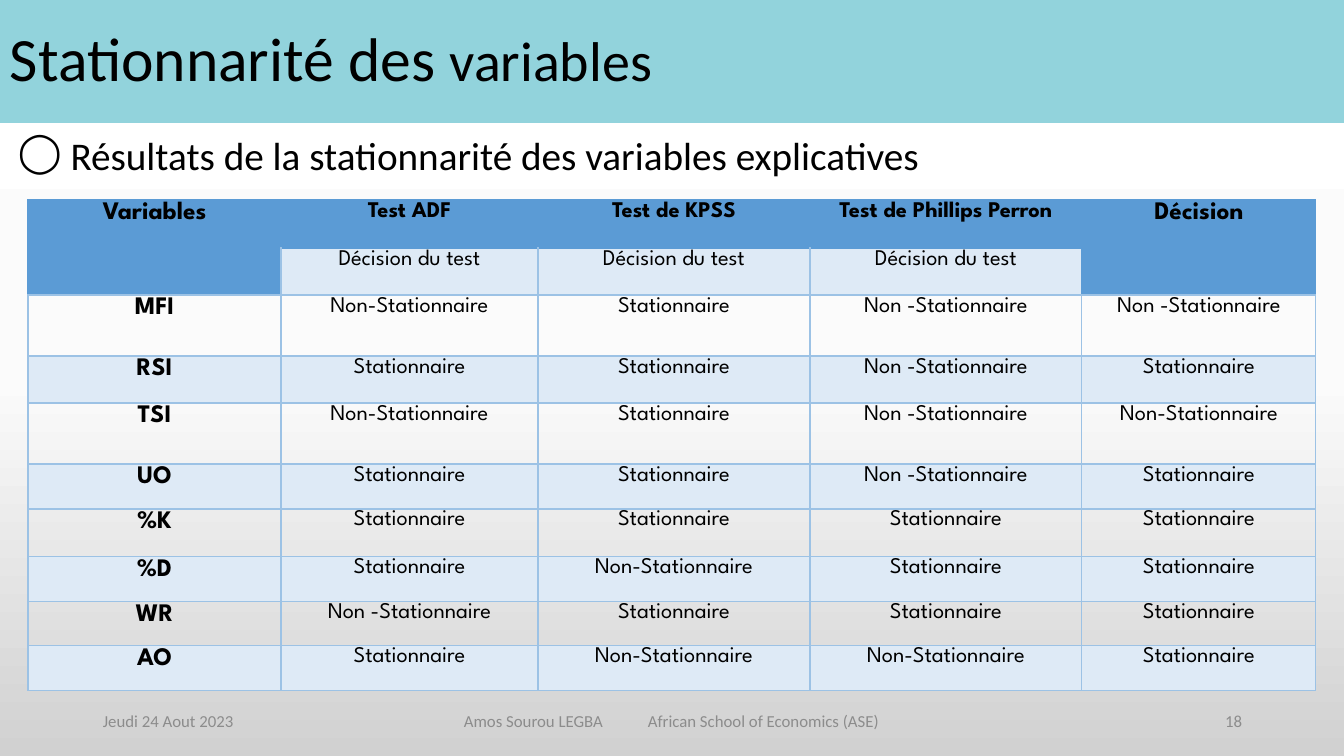
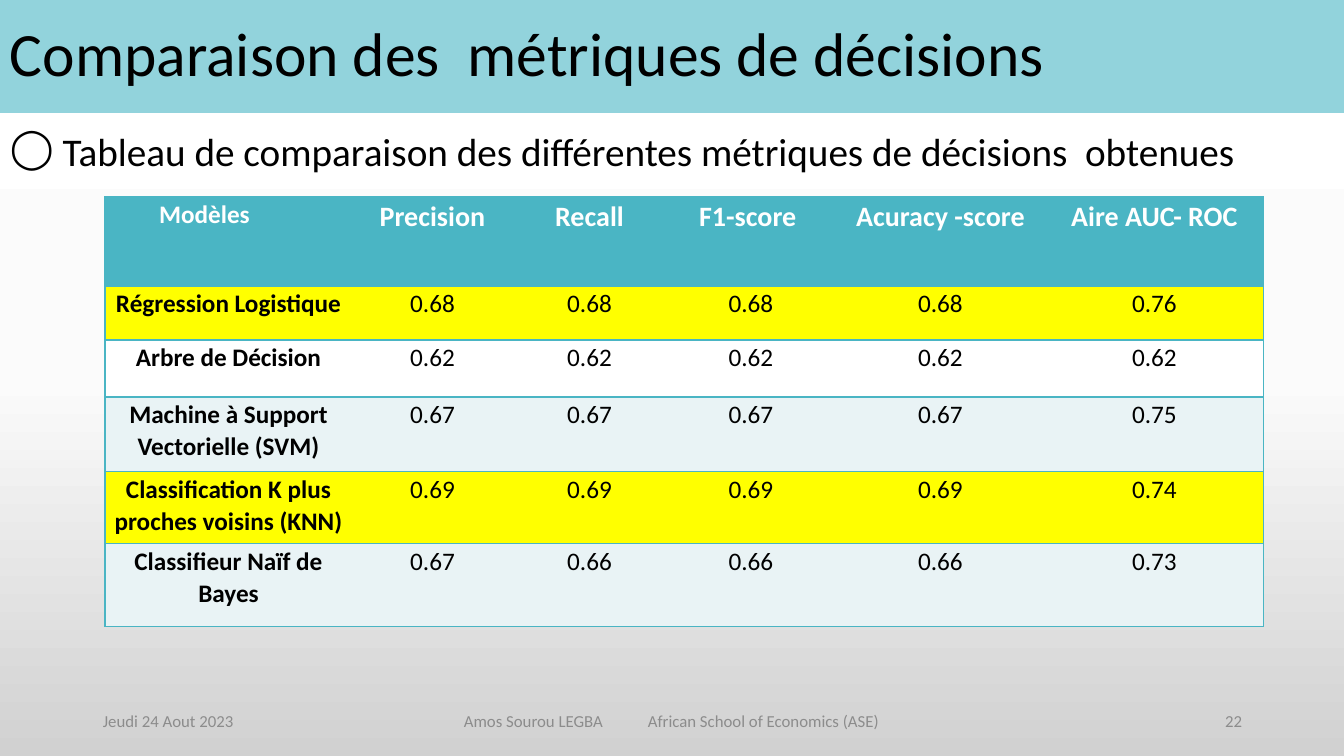
from copy import deepcopy

from lxml.etree import SubElement
from pptx import Presentation
from pptx.dml.color import RGBColor
from pptx.enum.shapes import MSO_SHAPE as Shape
from pptx.enum.text import MSO_ANCHOR as Anchor, PP_ALIGN as Align
from pptx.oxml.ns import qn
from pptx.util import Pt

PX = 914400 / 100.8  # EMU in one px
WIDTH, HEIGHT = 1344, 756
BLANK_LAYOUT = 6
PLAIN_TABLE = "{2D5ABB26-0587-4C30-8999-92F81FD0307C}"


class Theme:
    body_font, table_font = "Calibri", "League Spartan"
    black, white, grey = "000000", "FFFFFF", "8C8C8C"
    band = "92D3DC"
    backdrop = [(0, "FFFFFF"), (0.5, "FBFBFB"), (1, "D1D1D1")]
    blue, blue_line, blue_pale = "5B9BD5", "9CC2E5", "DEEAF6"
    teal, teal_pale, yellow = "4AB5C4", "E9F3F5", "FFFF00"
    title, title_small, body, footer = 44, 40, 28, 12
    head, label, cell = 20, 18, 16


# Content
DATE = "Jeudi 24 Aout 2023"
CREDIT = "Amos Sourou LEGBA\tAfrican School of Economics (ASE)"
YES, NO, NO_SPACED = "Stationnaire", "Non-Stationnaire", "Non -Stationnaire"

STATIONARITY = dict(
    number=18,
    title=[("Stationnarité des ", Theme.title), ("variables", Theme.title_small)],
    band_height=123,
    point=" Résultats de la stationnarité des variables explicatives",
    point_box=(8, 132, 1307, 608),
    table_at=(28, 200),
    columns=[253, 257, 272, 272, 234],
    rows=[48, 47, 61, 47, 61, 45, 48, 45, 44, 45],
)
TESTS = ["Variables", "Test ADF", "Test de KPSS", "Test de Phillips Perron", "Décision"]
TEST_RESULT = "Décision du test"
INDICATORS = [
    ("MFI", NO, YES, NO_SPACED, NO_SPACED),
    ("RSI", YES, YES, NO_SPACED, YES),
    ("TSI", NO, YES, NO_SPACED, NO),
    ("UO", YES, YES, NO_SPACED, YES),
    ("%K", YES, YES, YES, YES),
    ("%D", YES, NO, YES, YES),
    ("WR", NO_SPACED, YES, YES, YES),
    ("AO", YES, NO, NO, YES),
]

METRICS = dict(
    number=22,
    title=[("Comparaison des  métriques de décisions", Theme.title)],
    band_height=113,
    point=" Tableau de comparaison des différentes métriques de décisions  obtenues",
    point_box=(0, 128, 1344, 573),
    table_at=(105, 197),
    columns=[247, 161, 153, 170, 209, 219],
    rows=[89, 54, 57, 75, 72, 83],
)
SCORES = ["Modèles", "Precision", "Recall", "F1-score ", "Acuracy -score", "Aire AUC- ROC"]
MODELS = [
    ("Régression Logistique", "0.68", "0.68", "0.68", "0.68", "0.76"),
    ("Arbre de Décision", "0.62", "0.62", "0.62", "0.62", "0.62"),
    ("Machine à Support Vectorielle (SVM)", "0.67", "0.67", "0.67", "0.67", "0.75"),
    ("Classification K plus proches voisins (KNN)", "0.69", "0.69", "0.69", "0.69", "0.74"),
    ("Classifieur Naïf de Bayes", "0.67", "0.66", "0.66", "0.66", "0.73"),
]
MODEL_FILLS = [Theme.yellow, Theme.white, Theme.teal_pale, Theme.yellow, Theme.teal_pale]


# Helpers
def px(*lengths):
    return [round(length * PX) for length in lengths]


def apply(target, **values):
    for name, value in values.items():
        setattr(target, name, value)


def paint(fill, color):
    if color:
        fill.solid()
        fill.fore_color.rgb = RGBColor.from_string(color)
    else:
        fill.background()


def write(para, text, size, color=Theme.black, font=Theme.body_font, bold=False):
    span = para.add_run()
    span.text = text
    apply(span.font, size=Pt(size), name=font, bold=bold)
    span.font.color.rgb = RGBColor.from_string(color)


def add_text_box(page, area, anchor):
    box = page.shapes.add_textbox(*px(*area))
    apply(box.text_frame, word_wrap=True, vertical_anchor=anchor)
    return box.text_frame


# Shared slide parts
def set_backdrop(deck):
    master = deck.slide_master
    fill = master.background.fill
    fill.gradient()
    fill.gradient_angle = 270
    stops = master.element.find(".//" + qn("a:gsLst"))
    stops.append(deepcopy(stops[0]))
    for stop, (position, color) in zip(fill.gradient_stops, Theme.backdrop):
        stop.position = position
        stop.color.rgb = RGBColor.from_string(color)


def add_title(page, parts, height):
    band = page.shapes.add_shape(Shape.RECTANGLE, *px(0, 0, WIDTH, height))
    band.shadow.inherit = False
    paint(band.fill, Theme.band)
    band.line.fill.background()
    band.text_frame.vertical_anchor = Anchor.MIDDLE
    para = band.text_frame.paragraphs[0]
    apply(para, alignment=Align.LEFT, line_spacing=0.9)
    for text, size in parts:
        write(para, text, size)


def add_point(page, text, area):
    para = add_text_box(page, area, Anchor.TOP).paragraphs[0]
    apply(para, line_spacing=0.9, space_before=Pt(10))
    write(para, text, Theme.body)
    props = para._p.get_or_add_pPr()
    indent = px(25)[0]
    props.set("marL", str(indent))
    props.set("indent", str(-indent))
    SubElement(props, qn("a:buChar"), char="◯")


def add_footer(page, number):
    top, height = 701, 40
    parts = [
        (DATE, 93, 302, Align.LEFT),
        (CREDIT, 454, 446, Align.LEFT),
        (str(number), 950, 302, Align.RIGHT),
    ]
    for text, left, width, alignment in parts:
        frame = add_text_box(page, (left, top, width, height), Anchor.MIDDLE)
        para = frame.paragraphs[0]
        para.alignment = alignment
        write(para, text, Theme.footer, Theme.grey)
        if "\t" in text:
            tabs = SubElement(para._p.get_or_add_pPr(), qn("a:tabLst"))
            SubElement(tabs, qn("a:tab"), pos=str(px(184)[0]), algn="l")


def add_page(deck, content):
    page = deck.slides.add_slide(deck.slide_layouts[BLANK_LAYOUT])
    add_title(page, content["title"], content["band_height"])
    add_point(page, content["point"], content["point_box"])
    add_footer(page, content["number"])
    columns, rows = content["columns"], content["rows"]
    frame = page.shapes.add_table(
        len(rows), len(columns), *px(*content["table_at"], sum(columns), sum(rows)))
    table = frame.table
    apply(table, first_row=False, horz_banding=False)
    table._tbl.tblPr.find(qn("a:tableStyleId")).text = PLAIN_TABLE
    for column, width in zip(table.columns, px(*columns)):
        column.width = width
    for row, height in zip(table.rows, px(*rows)):
        row.height = height
    return table


# Table cells
def fill_cell(cell, text, fill, edges, **text_style):
    side = px(7)[0]
    apply(cell, margin_left=side, margin_right=side, margin_top=0, margin_bottom=0)
    props = cell._tc.get_or_add_tcPr()
    for edge in "LRTB":
        if edge in edges:
            line = SubElement(props, qn("a:ln" + edge), w=str(Pt(1)))
            solid = SubElement(line, qn("a:solidFill"))
            SubElement(solid, qn("a:srgbClr"), val=edges[edge])
    paint(cell.fill, fill)
    para = cell.text_frame.paragraphs[0]
    apply(para, alignment=Align.CENTER, line_spacing=1.07)
    if text:
        write(para, text, **text_style)


def fill_stationarity(table):
    last = len(TESTS) - 1
    grid = dict.fromkeys("LRTB", Theme.blue_line)
    solid = dict.fromkeys("LRTB", Theme.blue)
    for c, test in enumerate(TESTS):
        outer = c in (0, last)
        fill_cell(table.cell(0, c), test, Theme.blue, solid, font=Theme.table_font,
                  size=Theme.label if outer else Theme.cell, bold=True)
        if outer:
            fill_cell(table.cell(1, c), "", Theme.blue, solid | {"B": Theme.blue_line})
            table.cell(0, c).merge(table.cell(1, c))
        else:
            fill_cell(table.cell(1, c), TEST_RESULT, Theme.blue_pale,
                      grid | {"T": Theme.blue}, font=Theme.table_font, size=Theme.cell)
    for r, record in enumerate(INDICATORS):
        for c, text in enumerate(record):
            fill_cell(table.cell(r + 2, c), text, Theme.blue_pale if r % 2 else None, grid,
                      font=Theme.table_font, bold=c == 0,
                      size=Theme.label if c == 0 else Theme.cell)


def fill_metrics(table):
    last = len(SCORES) - 1
    fills = [Theme.teal] + MODEL_FILLS
    for r, (record, fill) in enumerate(zip([SCORES] + MODELS, fills)):
        for c, text in enumerate(record):
            sides = "TB" + "L" * (c == 0) + "R" * (c == last)
            fill_cell(table.cell(r, c), text, fill, dict.fromkeys(sides, Theme.teal),
                      size=Theme.head if r == 0 and c else Theme.label,
                      color=Theme.black if r else Theme.white, bold=r == 0 or c == 0)
    # The first heading sits left of its column's centre
    table.cell(0, 0).margin_right = px(55)[0]


def main():
    deck = Presentation()
    deck.slide_width, deck.slide_height = px(WIDTH, HEIGHT)
    set_backdrop(deck)
    fill_stationarity(add_page(deck, STATIONARITY))
    fill_metrics(add_page(deck, METRICS))
    deck.save("out.pptx")


if __name__ == "__main__":
    main()
